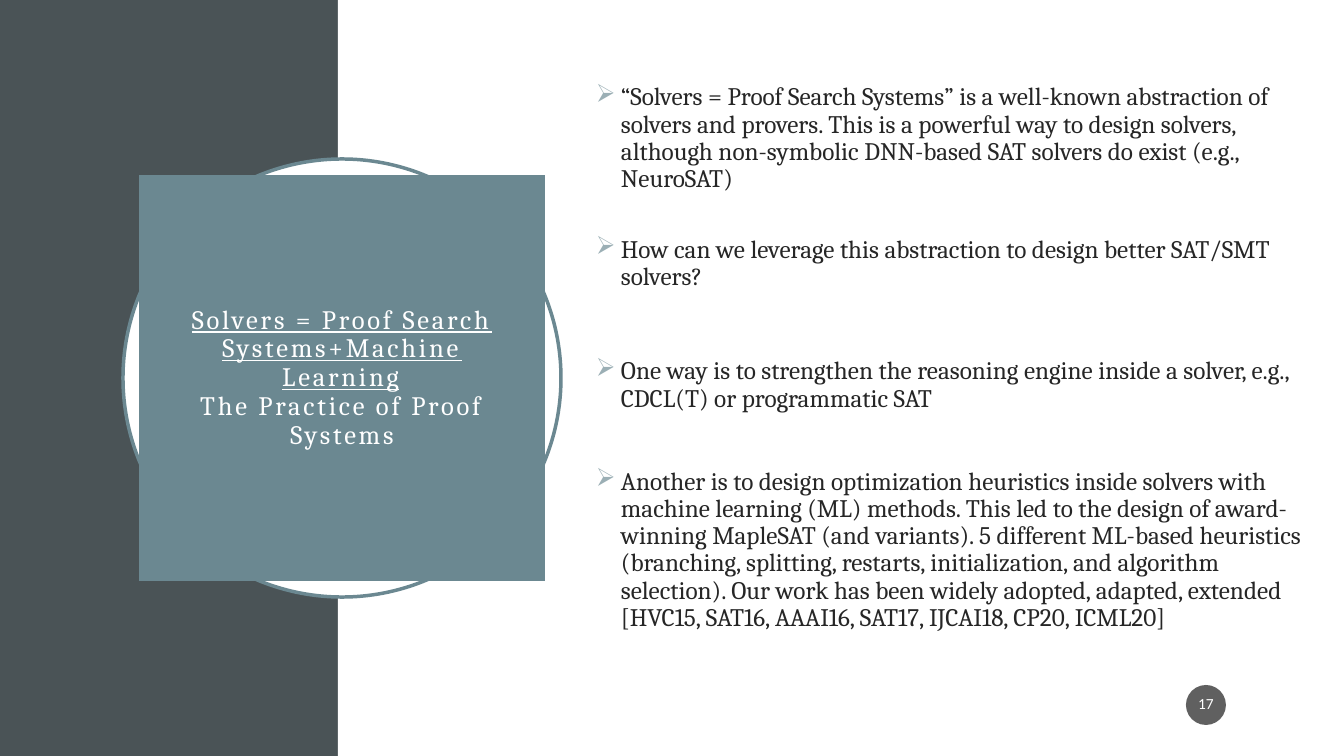
"""Builds the slide on solvers as proof search systems combined with machine learning."""
from lxml.etree import SubElement
from pptx import Presentation
from pptx.dml.color import RGBColor
from pptx.enum.shapes import MSO_SHAPE as Preset
from pptx.enum.text import MSO_ANCHOR as Anchor, PP_ALIGN as Align
from pptx.oxml.ns import qn
from pptx.util import Pt

PX = 914400 / 100.8
COLORS = {
    "slate": "4A5356",
    "white": "FFFFFF",
    "teal": "6B8891",
    "bullet": "9BAFB5",
    "text": "262626",
    "badge": "1D1D1D",
}


def add_block(preset, box, fill, line=None):
    shape = slide.shapes.add_shape(preset, *[round(value * PX) for value in box])
    shape.shadow.inherit = False
    shape.fill.solid()
    shape.fill.fore_color.rgb = RGBColor.from_string(COLORS[fill])
    if line:
        shape.line.color.rgb = RGBColor.from_string(COLORS[line])
        shape.line.width = Pt(2.5)
    else:
        shape.line.fill.background()
    return shape


def set_frame(shape, margins):
    frame = shape.text_frame
    frame.word_wrap = True
    frame.vertical_anchor = Anchor.MIDDLE
    frame.margin_left, frame.margin_top, frame.margin_right, frame.margin_bottom = [
        round(value * PX) for value in margins]
    return frame


presentation = Presentation()
presentation.slide_width = round(1344 * PX)
presentation.slide_height = round(756 * PX)
slide = presentation.slides.add_slide(presentation.slide_layouts[6])

add_block(Preset.RECTANGLE, (0, 0, 338, 756), "slate")
add_block(Preset.RECTANGLE, (338, 0, 1006, 756), "white")
add_block(Preset.OVAL, (123, 159, 438, 438), "white", "teal")

title = add_block(Preset.RECTANGLE, (139, 175, 406, 406), "teal")
paragraph = set_frame(title, (30, 20, 30, 20)).paragraphs[0]
paragraph.text = "Solvers = Proof Search Systems+Machine Learning\vThe Practice of Proof Systems"
paragraph.alignment = Align.CENTER
paragraph.line_spacing = 0.9
for run in paragraph.runs:
    run.font.name = "Cambria"
    run.font.size = Pt(19)
    run.font.color.rgb = RGBColor.from_string(COLORS["white"])
    run.font._element.set("spc", "200")
paragraph.runs[0].font.underline = True

points = [
    (0, "“Solvers = Proof Search Systems” is a well-known abstraction of solvers and provers. "
        "This is a powerful way to design solvers, although non-symbolic DNN-based SAT solvers "
        "do exist (e.g., NeuroSAT)"),
    (31, "How can we leverage this abstraction to design better SAT/SMT solvers?"),
    (48, "One way is to strengthen the reasoning engine inside a solver, e.g., CDCL(T) "
         "or programmatic SAT"),
    (40, "Another is to design optimization heuristics inside solvers with machine learning (ML) "
         "methods. This led to the design of award-winning MapleSAT (and variants). 5 different "
         "ML-based heuristics (branching, splitting, restarts, initialization, and algorithm "
         "selection). Our work has been widely adopted, adapted, extended [HVC15, SAT16, AAAI16, "
         "SAT17, IJCAI18, CP20, ICML20]"),
]
body = slide.shapes.add_textbox(*[round(value * PX) for value in (561, 18, 753, 708)])
frame = set_frame(body, (10, 5, 10, 33))
for index, (space, text) in enumerate(points):
    paragraph = frame.add_paragraph() if index else frame.paragraphs[0]
    paragraph.text = text
    paragraph.line_spacing = 0.9
    paragraph.space_before = Pt(space)
    properties = paragraph._p.get_or_add_pPr()
    properties.set("marL", str(round(50 * PX)))
    properties.set("indent", str(round(-25 * PX)))
    bullet_color = SubElement(properties, qn("a:buClr"))
    SubElement(bullet_color, qn("a:srgbClr"), val=COLORS["bullet"])
    SubElement(properties, qn("a:buChar"), char="➢")
    font = paragraph.runs[0].font
    font.name = "Cambria"
    font.size = Pt(18)
    font.color.rgb = RGBColor.from_string(COLORS["text"])

badge = add_block(Preset.OVAL, (1186, 685, 40, 40), "badge")
badge_color = badge.fill._xPr.find(qn("a:solidFill")).find(qn("a:srgbClr"))
SubElement(badge_color, qn("a:alpha"), val="70000")
paragraph = set_frame(badge, (2, 5, 2, 5)).paragraphs[0]
paragraph.text = "17"
paragraph.alignment = Align.CENTER
paragraph.line_spacing = 0.9
font = paragraph.runs[0].font
font.name = "Calibri"
font.size = Pt(11)
font.color.rgb = RGBColor.from_string(COLORS["white"])

presentation.save("out.pptx")
